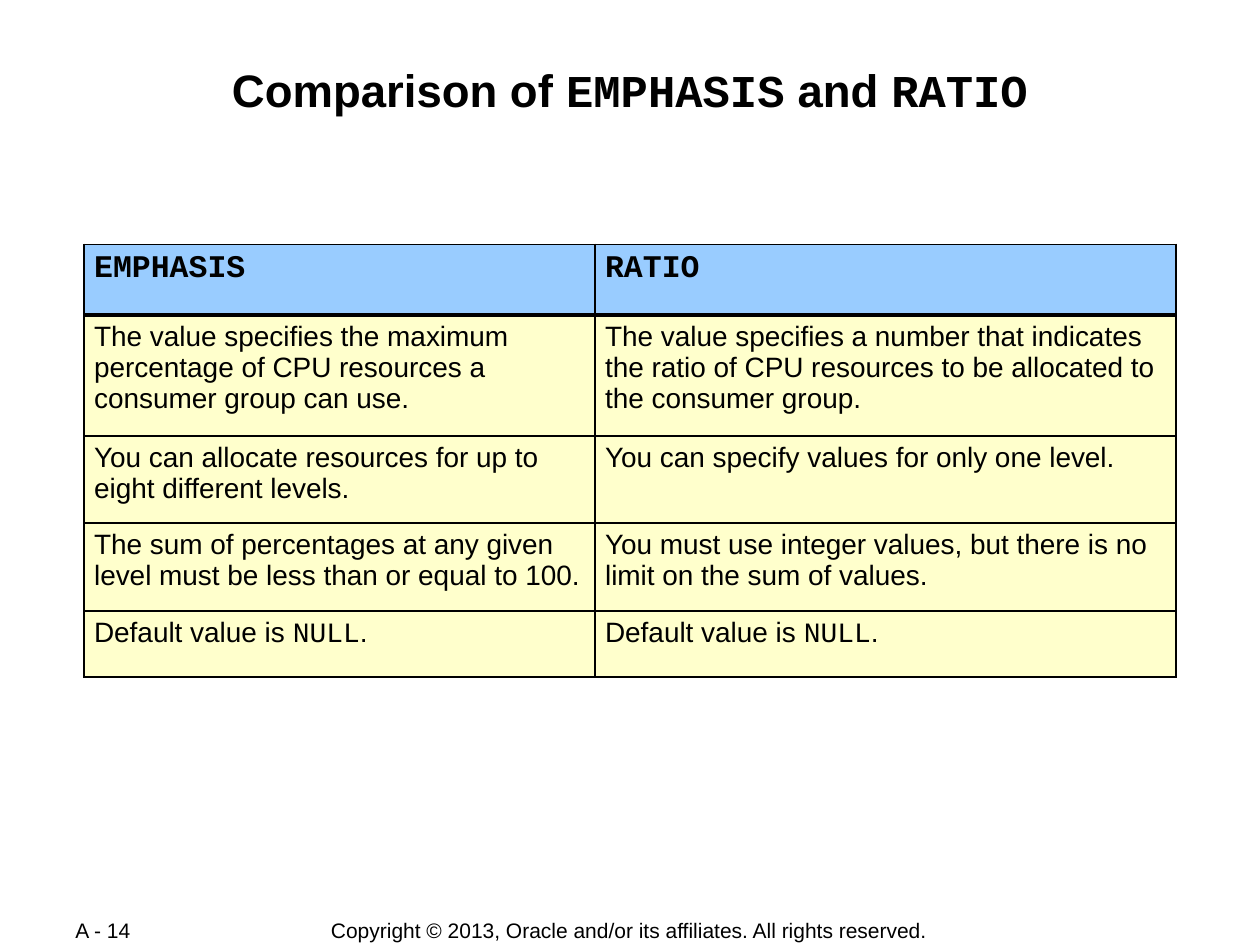
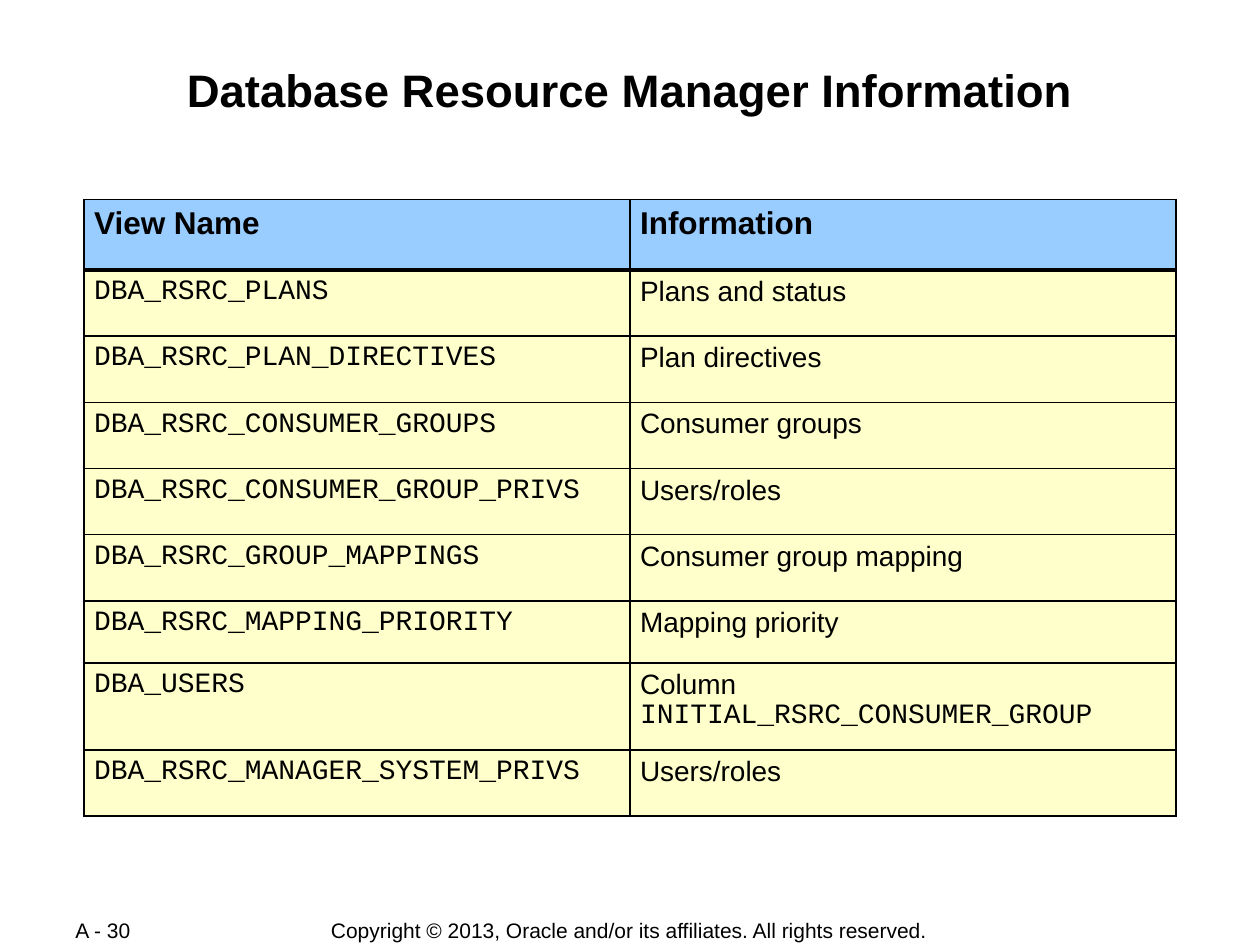
from lxml.etree import SubElement
from pptx import Presentation
from pptx.dml.color import RGBColor
from pptx.enum.text import MSO_ANCHOR as Anchor, MSO_AUTO_SIZE as AutoSize, PP_ALIGN as Align
from pptx.oxml.ns import qn
from pptx.util import Pt

BLACK = RGBColor(0x00, 0x00, 0x00)
HEADER_BLUE = RGBColor(0x99, 0xCC, 0xFF)
BODY_YELLOW = RGBColor(0xFF, 0xFF, 0xCC)
TEXT_FONT, CODE_FONT = "Arial", "Courier New"

TITLE_FORMAT = {"size": Pt(26), "bold": True}
HEADER_FORMAT = {"size": Pt(18), "bold": True}
BODY_FORMAT = {"size": Pt(16), "bold": False}
FOOTER_FORMAT = {"size": Pt(12), "bold": False}

TITLE_BOX = (48, 34.6, 624, 69)
NUMBER_BOX = (36, 524.2, 76, 14.6)
COPYRIGHT_BOX = (159.5, 524.2, 400, 15)
TABLE_LEFT = 48.2
THIN, THICK = 1.08, 2.21
COPYRIGHT = "Copyright © 2013, Oracle and/or its affiliates. All rights reserved."

COMPARISON = [
    ("`EMPHASIS`", "`RATIO`"),
    ("The value specifies the maximum percentage of CPU resources a consumer group can use.",
     "The value specifies a number that indicates the ratio of CPU resources to be allocated "
     "to the consumer group."),
    ("You can allocate resources for up to eight different levels.",
     "You can specify values for only one level."),
    ("The sum of percentages at any given level must be less than or equal to 100.",
     "You must use integer values, but there is no limit on the sum of values."),
    ("Default value is `NULL`.", "Default value is `NULL`."),
]
VIEWS = [
    ("View Name", "Information"),
    ("`DBA_RSRC_PLANS`", "Plans and status"),
    ("`DBA_RSRC_PLAN_DIRECTIVES`", "Plan directives"),
    ("`DBA_RSRC_CONSUMER_GROUPS`", "Consumer groups"),
    ("`DBA_RSRC_CONSUMER_GROUP_PRIVS`", "Users/roles"),
    ("`DBA_RSRC_GROUP_MAPPINGS`", "Consumer group mapping"),
    ("`DBA_RSRC_MAPPING_PRIORITY`", "Mapping priority"),
    ("`DBA_USERS`", "Column `INITIAL_RSRC_CONSUMER_GROUP`"),
    ("`DBA_RSRC_MANAGER_SYSTEM_PRIVS`", "Users/roles"),
]


def set_attributes(target, values):
    for name, value in values.items():
        setattr(target, name, value)


def write_text(paragraph, text, font_format):
    for index, part in enumerate(text.split("`")):
        if part:
            run = paragraph.add_run()
            run.text = part
            run.font.name = CODE_FONT if index % 2 else TEXT_FONT
            run.font.color.rgb = BLACK
            set_attributes(run.font, font_format)


def add_title(slide, box, text):
    title = slide.shapes.title
    set_attributes(title, dict(zip(("left", "top", "width", "height"), map(Pt, box))))
    frame = title.text_frame
    set_attributes(frame, {
        "margin_left": Pt(1), "margin_right": Pt(1), "margin_top": Pt(0.6),
        "margin_bottom": Pt(1), "vertical_anchor": Anchor.TOP,
        "word_wrap": True, "auto_size": AutoSize.NONE,
    })
    frame.paragraphs[0].alignment = Align.CENTER
    write_text(frame.paragraphs[0], text, TITLE_FORMAT)


def add_footer_text(slide, box, text, alignment):
    frame = slide.shapes.add_textbox(*map(Pt, box)).text_frame
    set_attributes(frame, {"vertical_anchor": Anchor.MIDDLE, "word_wrap": True})
    frame.paragraphs[0].alignment = alignment
    write_text(frame.paragraphs[0], text, FOOTER_FORMAT)


def set_borders(cell, widths):
    properties = cell._tc.get_or_add_tcPr()
    for side, width in widths.items():
        line = SubElement(properties, qn(f"a:ln{side}"), w=str(Pt(width)))
        fill = SubElement(line, qn("a:solidFill"))
        SubElement(fill, qn("a:srgbClr"), val=str(BLACK))


def format_cell(cell, text, row):
    set_borders(cell, {"L": THIN, "R": THIN, "T": THICK if row == 1 else THIN,
                       "B": THICK if row == 0 else THIN})
    cell.fill.solid()
    cell.fill.fore_color.rgb = BODY_YELLOW if row else HEADER_BLUE
    set_attributes(cell, {
        "margin_left": Pt(5.6), "margin_right": Pt(5.6), "margin_top": Pt(3.6),
        "margin_bottom": Pt(3.6), "vertical_anchor": Anchor.TOP,
    })
    write_text(cell.text_frame.paragraphs[0], text, BODY_FORMAT if row else HEADER_FORMAT)


def add_grid(slide, left, top, widths, heights, rows):
    box = (left, top, sum(widths), sum(heights))
    table = slide.shapes.add_table(len(rows), len(widths), *map(Pt, box)).table
    table.horz_banding = False
    for column, width in zip(table.columns, widths):
        column.width = Pt(width)
    for row, (texts, height) in enumerate(zip(rows, heights)):
        table.rows[row].height = Pt(height)
        for column, text in enumerate(texts):
            format_cell(table.cell(row, column), text, row)


def add_table_slide(presentation, title, number, top, widths, heights, rows):
    slide = presentation.slides.add_slide(presentation.slide_layouts[5])
    add_footer_text(slide, COPYRIGHT_BOX, COPYRIGHT, Align.CENTER)
    add_footer_text(slide, NUMBER_BOX, number, Align.LEFT)
    add_title(slide, TITLE_BOX, title)
    add_grid(slide, TABLE_LEFT, top, widths, heights, rows)


def main():
    presentation = Presentation()
    set_attributes(presentation, {"slide_width": Pt(720), "slide_height": Pt(540)})
    add_table_slide(presentation, "Comparison of `EMPHASIS` and `RATIO`", "A - 14", 139.7,
                    (292, 332), (40.3, 69.1, 50, 50, 37.8), COMPARISON)
    add_table_slide(presentation, "Database Resource Manager Information", "A - 30", 114.1,
                    (312, 312), (40.3, *[37.8] * 5, 35.4, 49.8, 37.8), VIEWS)
    presentation.save("out.pptx")


if __name__ == "__main__":
    main()
